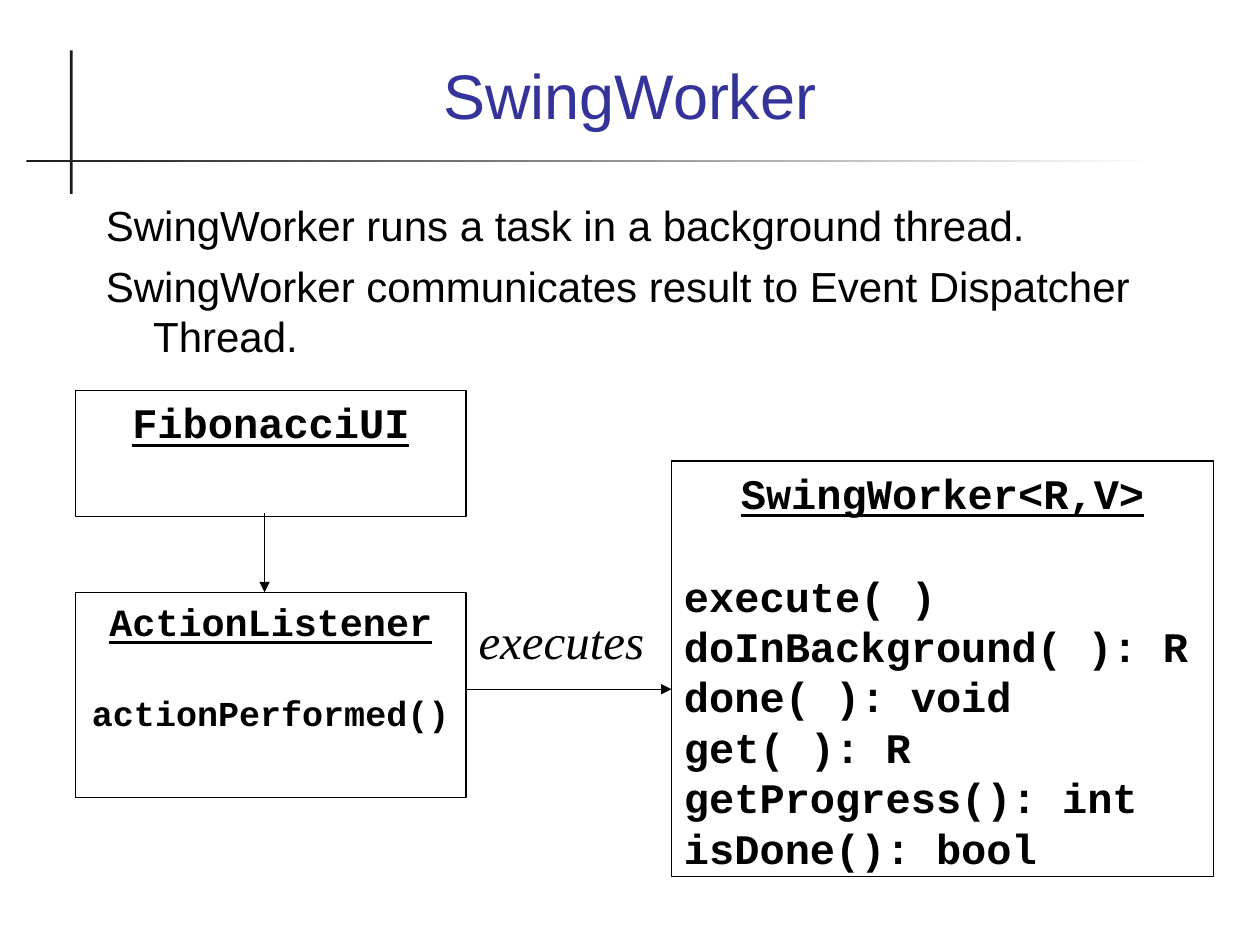
from dataclasses import dataclass

from pptx import Presentation
from pptx.dml.color import RGBColor
from pptx.enum.shapes import MSO_CONNECTOR, MSO_SHAPE
from pptx.enum.text import MSO_ANCHOR, MSO_AUTO_SIZE, PP_ALIGN
from pptx.oxml.ns import qn
from pptx.util import Pt


@dataclass(frozen=True)
class Theme:
    ink: RGBColor = RGBColor(0x00, 0x00, 0x00)
    title: RGBColor = RGBColor(0x33, 0x33, 0x99)
    rule: RGBColor = RGBColor(0x1C, 0x1C, 0x1C)
    paper: RGBColor = RGBColor(0xFF, 0xFF, 0xFF)
    sans: str = "Arial"
    mono: str = "Courier New"
    serif: str = "Times New Roman"
    title_size: float = 36
    label_size: float = 28
    text_size: float = 24
    listener_size: float = 22
    method_size: float = 20
    line_width: float = 0.75
    leading: float = 1.2


@dataclass(frozen=True)
class Area:
    """A rectangle in points."""
    left: float
    top: float
    width: float
    height: float

    def emu(self):
        return Pt(self.left), Pt(self.top), Pt(self.width), Pt(self.height)


@dataclass(frozen=True)
class ClassBox:
    area: Area
    name: str
    name_size: float
    methods: tuple[str, ...] = ()
    method_size: float = 0
    method_align: PP_ALIGN = PP_ALIGN.LEFT
    gap: float = 0


@dataclass(frozen=True)
class Arrow:
    start: tuple[float, float]
    end: tuple[float, float]


THEME = Theme()

TITLE = Area(48.24, 20.16, 623.52, 67.68)
BODY = Area(53.28, 110.16, 623.52, 105.84)
LABEL = Area(266.4, 345.6, 129.6, 41.04)
VERTICAL_RULE = Area(40, 28.8, 1.6, 82.08)
HORIZONTAL_RULE = Area(15.12, 91.44, 646.56, 1.2)

BODY_LINES = (
    "SwingWorker runs a task in a background thread.",
    "SwingWorker communicates result to Event Dispatcher Thread.",
)
BOXES = (
    ClassBox(Area(43.2, 223.2, 223.2, 72), "FibonacciUI", THEME.text_size),
    ClassBox(
        Area(383.76, 263.52, 309.6, 237.6), "SwingWorker<R,V>", THEME.text_size,
        ("execute( )", "doInBackground( ): R", "done( ): void", "get( ): R",
         "getProgress(): int", "isDone(): bool"),
        THEME.text_size, gap=30,
    ),
    ClassBox(
        Area(43.2, 338.4, 223.2, 117.36), "ActionListener", THEME.listener_size,
        ("actionPerformed()",), THEME.method_size, PP_ALIGN.CENTER, gap=26.8,
    ),
)
ARROWS = (
    Arrow((151.2, 293.04), (151.2, 338.4)),
    Arrow((266.4, 393.84), (383.76, 393.84)),
)


def set_frame(tf, anchor=MSO_ANCHOR.TOP) -> None:
    tf.word_wrap = True
    tf.auto_size = MSO_AUTO_SIZE.NONE
    tf.vertical_anchor = anchor
    tf.margin_left = tf.margin_right = Pt(7.2)
    tf.margin_top = tf.margin_bottom = Pt(3.6)


def add_text(tf, text: str, *, size: float, font: str, color=THEME.ink,
             align=PP_ALIGN.LEFT, bold=False, italic=False, underline=False,
             before=0.0, hanging=0.0) -> None:
    """Fill the empty first paragraph, or add one after the last."""
    p = tf.paragraphs[0] if not tf.text else tf.add_paragraph()
    if hanging:
        ppr = p._p.get_or_add_pPr()
        ppr.set("marL", str(Pt(hanging)))
        ppr.set("indent", str(-Pt(hanging)))
        ppr.append(ppr.makeelement(qn("a:buNone"), {}))
    p.alignment = align
    p.line_spacing = Pt(size * THEME.leading)
    p.space_before, p.space_after = Pt(before), Pt(0)
    r = p.add_run()
    r.text = text
    r.font.name, r.font.size = font, Pt(size)
    r.font.bold, r.font.italic, r.font.underline = bold, italic, underline
    r.font.color.rgb = color


def add_rect(slide, area: Area):
    sp = slide.shapes.add_shape(MSO_SHAPE.RECTANGLE, *area.emu())
    sp.shadow.inherit = False
    return sp


def add_rules(slide) -> None:
    vertical, horizontal = (add_rect(slide, a) for a in (VERTICAL_RULE, HORIZONTAL_RULE))
    vertical.fill.solid()
    vertical.fill.fore_color.rgb = THEME.rule
    horizontal.fill.gradient()
    horizontal.fill.gradient_angle = 0
    for stop, color in zip(horizontal.fill.gradient_stops, (THEME.rule, THEME.paper)):
        stop.color.rgb = color
    for sp in (vertical, horizontal):
        sp.line.fill.background()


def add_class_box(slide, box: ClassBox) -> None:
    sp = add_rect(slide, box.area)
    sp.fill.background()
    sp.line.color.rgb, sp.line.width = THEME.ink, Pt(THEME.line_width)
    tf = sp.text_frame
    set_frame(tf)
    add_text(tf, box.name, size=box.name_size, font=THEME.mono, bold=True,
             underline=True, align=PP_ALIGN.CENTER)
    for i, method in enumerate(box.methods):
        add_text(tf, method, size=box.method_size, font=THEME.mono, bold=True,
                 align=box.method_align, before=0 if i else box.gap)


def add_arrow(slide, arrow: Arrow) -> None:
    points = (Pt(v) for v in arrow.start + arrow.end)
    cxn = slide.shapes.add_connector(MSO_CONNECTOR.STRAIGHT, *points)
    cxn.line.color.rgb, cxn.line.width = THEME.ink, Pt(THEME.line_width)
    ln = cxn.line._get_or_add_ln()
    ln.append(ln.makeelement(qn("a:tailEnd"), {"type": "triangle"}))
    sppr = cxn._element.spPr
    sppr.append(sppr.makeelement(qn("a:effectLst"), {}))


def main() -> None:
    prs = Presentation()
    prs.slide_width, prs.slide_height = Pt(720), Pt(540)
    slide = prs.slides.add_slide(prs.slide_layouts[1])
    title, body = slide.placeholders
    for sp, area in ((title, TITLE), (body, BODY)):
        sp.left, sp.top, sp.width, sp.height = area.emu()

    set_frame(title.text_frame, anchor=MSO_ANCHOR.MIDDLE)
    add_text(title.text_frame, "SwingWorker", size=THEME.title_size, font=THEME.sans,
             color=THEME.title, align=PP_ALIGN.CENTER)
    set_frame(body.text_frame)
    for i, line in enumerate(BODY_LINES):
        add_text(body.text_frame, line, size=THEME.text_size, font=THEME.sans,
                 before=6 if i else 0, hanging=27)

    add_rules(slide)
    for box in BOXES:
        add_class_box(slide, box)
    for arrow in ARROWS:
        add_arrow(slide, arrow)
    label = slide.shapes.add_textbox(*LABEL.emu()).text_frame
    set_frame(label)
    add_text(label, "executes", size=THEME.label_size, font=THEME.serif, italic=True)
    prs.save("out.pptx")


if __name__ == "__main__":
    main()
